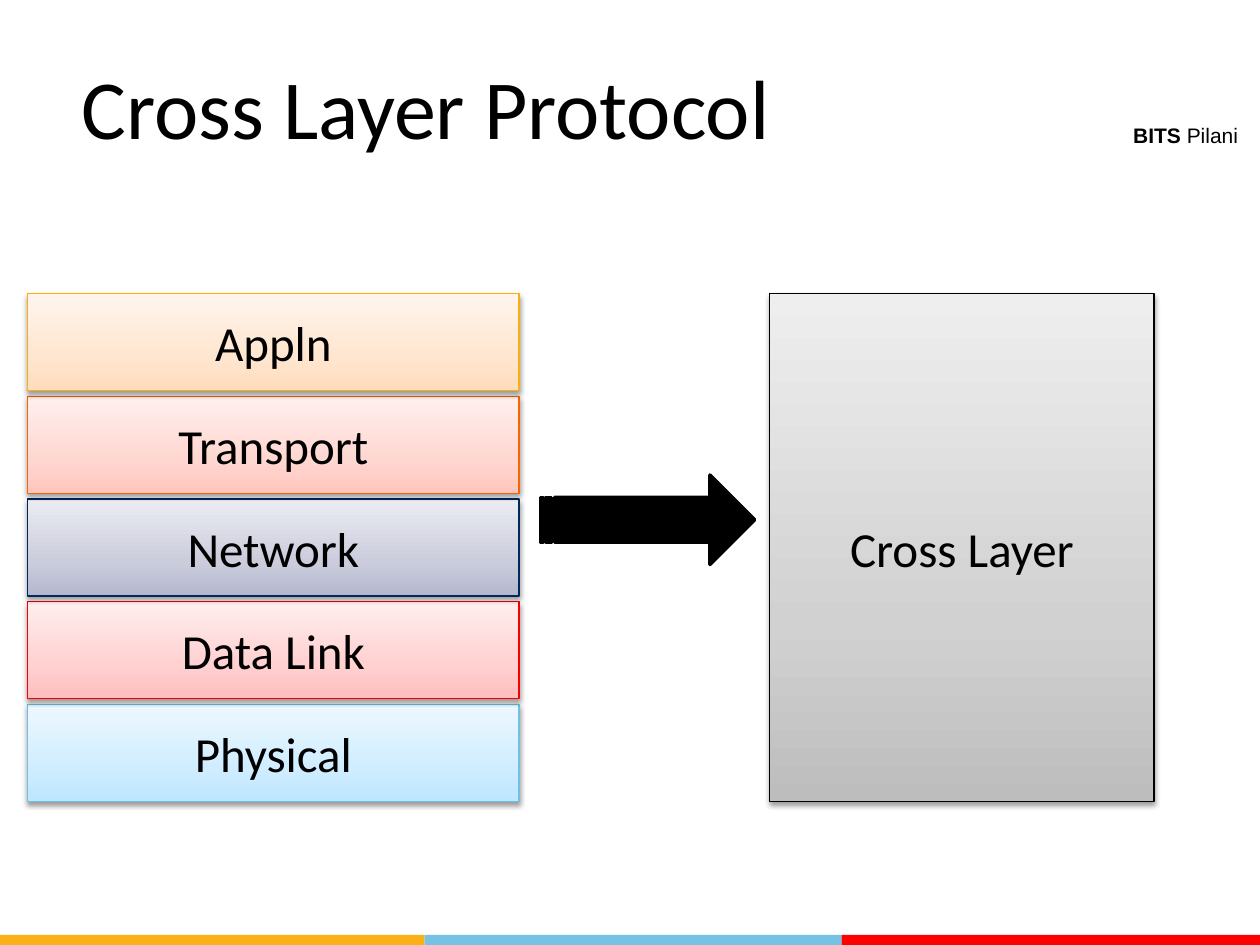
from dataclasses import dataclass

from lxml.etree import SubElement
from pptx import Presentation
from pptx.dml.color import RGBColor
from pptx.enum.shapes import MSO_SHAPE as Preset
from pptx.enum.text import MSO_ANCHOR as Anchor, PP_ALIGN as Align
from pptx.oxml.ns import qn
from pptx.util import Inches, Pt


@dataclass(frozen=True)
class Theme:
    ink: str = "000000"
    stripes: tuple = ("FCB017", "76C2E5", "FF0000")
    body_font: str = "Calibri"
    brand_font: str = "Arial"
    title_size: int = 48
    block_size: int = 28
    brand_size: int = 12


THEME = Theme()
STOPS = (0, 35, 100)  # gradient positions in percent, from the bottom up

# Label, outline, gradient colours from the bottom up
LAYERS = (
    ("Appln", "FCAE11", ("FFDCBB", "FFE6D0", "FFF5ED")),
    ("Transport", "F96400", ("FFC6BD", "FFD7D1", "FFF0EE")),
    ("Network", "00285E", ("B4B8CE", "CBCDDC", "EBECF2")),
    ("Data Link", "F90000", ("FFBDBD", "FFD1D1", "FFEEEE")),
    ("Physical", "71BFE3", ("BDE6FF", "D0EDFF", "EDF8FF")),
)
CROSS_LAYER = ("Cross Layer", "000000", ("BDBDBD", "D1D1D1", "EEEEEE"))

STACK_TOP, LAYER_HEIGHT, LAYER_PITCH = 2.33, 0.77, 0.815
STACK_HEIGHT = LAYER_PITCH * (len(LAYERS) - 1) + LAYER_HEIGHT


def rgb(colour):
    return RGBColor.from_string(colour)


def style_runs(paragraph, font, size):
    for run in paragraph.runs:
        run.font.name = font
        run.font.size = Pt(size)
        run.font.color.rgb = rgb(THEME.ink)


def add_preset(slide, preset, box, fill=None):
    shape = slide.shapes.add_shape(preset, *map(Inches, box))
    shape.shadow.inherit = False
    if fill:
        shape.fill.solid()
        shape.fill.fore_color.rgb = rgb(fill)
    return shape


def set_gradient(shape, colours):
    shape.fill.gradient()
    shape.fill.gradient_angle = 90
    stop_list = shape.element.spPr.find(".//" + qn("a:gsLst"))
    for old_stop in list(stop_list):
        stop_list.remove(old_stop)
    for position, colour in zip(STOPS, colours):
        stop = SubElement(stop_list, qn("a:gs"), pos=str(position * 1000))
        SubElement(stop, qn("a:srgbClr"), val=colour)


def add_soft_shadow(shape):
    effects = shape.element.spPr.find(qn("a:effectLst"))
    shadow = SubElement(effects, qn("a:outerShdw"), blurRad=str(Pt(3.1)),
                        dist=str(Pt(1.6)), dir="5400000", rotWithShape="0")
    colour = SubElement(shadow, qn("a:srgbClr"), val=THEME.ink)
    SubElement(colour, qn("a:alpha"), val="38000")


def add_block(slide, box, label, outline, colours):
    """Add a labelled gradient rectangle with a drop shadow."""
    block = add_preset(slide, Preset.RECTANGLE, box)
    set_gradient(block, colours)
    block.line.color.rgb = rgb(outline)
    block.line.width = Pt(0.75)
    add_soft_shadow(block)
    frame = block.text_frame
    frame.text = label
    frame.vertical_anchor = Anchor.MIDDLE
    frame.paragraphs[0].alignment = Align.CENTER
    style_runs(frame.paragraphs[0], THEME.body_font, THEME.block_size)


def add_text_frame(slide, box):
    frame = slide.shapes.add_textbox(*map(Inches, box)).text_frame
    frame.word_wrap = True
    return frame


def add_title(slide, title):
    frame = add_text_frame(slide, (0.55, 0.44, 7.14, 0.9))
    frame.margin_top = frame.margin_bottom = Inches(0.1)
    frame.vertical_anchor = Anchor.BOTTOM
    frame.text = title
    style_runs(frame.paragraphs[0], THEME.body_font, THEME.title_size)


def add_university_name(slide):
    name = add_text_frame(slide, (8.85, 0.92, 1.12, 0.29)).paragraphs[0]
    name.alignment = Align.CENTER
    for part, bold in (("BITS", True), (" Pilani", False)):
        run = name.add_run()
        run.text = part
        run.font.bold = bold
    style_runs(name, THEME.brand_font, THEME.brand_size)


def add_footer_stripes(slide):
    edges = (0, 3.37, 6.68, 10)
    for left, right, colour in zip(edges, edges[1:], THEME.stripes):
        stripe = add_preset(slide, Preset.RECTANGLE,
                            (left, 7.42, right - left, 0.08), colour)
        stripe.line.fill.background()


def add_arrow(slide):
    arrow = add_preset(slide, Preset.STRIPED_RIGHT_ARROW,
                       (4.29, 3.77, 1.7, 0.71), THEME.ink)
    arrow.line.color.rgb = rgb(THEME.ink)
    arrow.line.width = Pt(2)


def main():
    deck = Presentation()
    deck.slide_width, deck.slide_height = Inches(10), Inches(7.5)
    slide = deck.slides.add_slide(deck.slide_layouts[6])

    add_footer_stripes(slide)
    add_university_name(slide)
    add_title(slide, "Cross Layer Protocol")
    for row, layer in reversed(list(enumerate(LAYERS))):
        top = STACK_TOP + row * LAYER_PITCH
        add_block(slide, (0.22, top, 3.9, LAYER_HEIGHT), *layer)
    add_block(slide, (6.11, STACK_TOP, 3.05, STACK_HEIGHT), *CROSS_LAYER)
    add_arrow(slide)

    deck.save("out.pptx")


if __name__ == "__main__":
    main()
